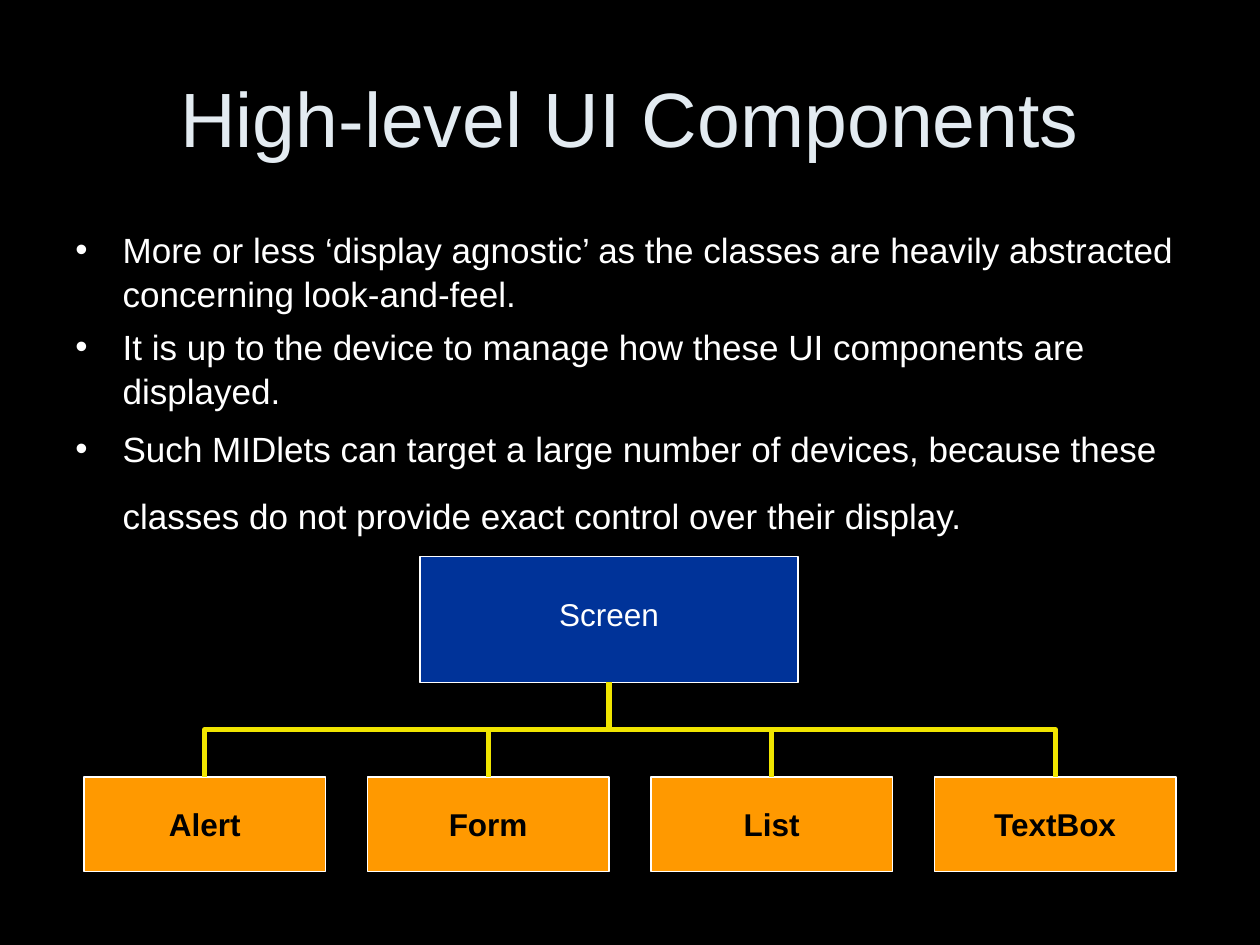
from lxml import etree
from pptx import Presentation
from pptx.dml.color import RGBColor
from pptx.enum.shapes import MSO_CONNECTOR, MSO_SHAPE
from pptx.enum.text import MSO_ANCHOR, PP_ALIGN
from pptx.oxml.ns import qn
from pptx.util import Pt

COLOURS = {
    "background": "000000",
    "title": "E3EBF1",
    "light": "FFFFFF",
    "dark": "000000",
    "parent": "003399",
    "child": "FF9900",
    "branch": "F0E500",
}
FONT = "Arial"
BOTTOM, TOP = 2, 0  # connection sites of a rectangle

# Text, space before
BULLETS = [
    ("More or less ‘display agnostic’ as the classes are heavily abstracted "
     "concerning look-and-feel.", 0),
    ("It is up to the device to manage how these UI components are displayed.", 5),
    ("Such MIDlets can target a large number of devices, because these classes "
     "do not provide exact control over their display.", 8),
]
COMPONENTS = ["Alert", "Form", "List", "TextBox"]


def colour(name):
    return RGBColor.from_string(COLOURS[name])


def add_span(para, text, size, ink, bold=False):
    span = para.add_run()
    span.text = text
    span.font.name = FONT
    span.font.size = Pt(size)
    span.font.bold = bold
    span.font.color.rgb = colour(ink)


def add_text_box(page, left, top, width, height):
    box = page.shapes.add_textbox(Pt(left), Pt(top), Pt(width), Pt(height))
    box.text_frame.word_wrap = True
    return box.text_frame


def add_title(page, left, top, width, height):
    frame = add_text_box(page, left, top, width, height)
    frame.vertical_anchor = MSO_ANCHOR.MIDDLE
    para = frame.paragraphs[0]
    para.alignment = PP_ALIGN.CENTER
    add_span(para, "High-level UI Components", 44, "title")


def add_bullet(para, indent):
    props = para._p.get_or_add_pPr()
    props.set("marL", str(Pt(indent)))
    props.set("indent", str(-Pt(indent)))
    etree.SubElement(props, qn("a:buFont")).set("typeface", FONT)
    etree.SubElement(props, qn("a:buChar")).set("char", "•")


def add_bullets(page, left, top, width, height):
    frame = add_text_box(page, left, top, width, height)
    for number, (text, space) in enumerate(BULLETS):
        para = frame.add_paragraph() if number else frame.paragraphs[0]
        add_bullet(para, 27)
        para.space_before = Pt(space)
        para.line_spacing = 1.05
        add_span(para, text, 20, "light")
    # A larger closing space opens up the last line
    add_span(para, " ", 32, "light")


def add_node(page, left, top, width, height, text, fill, ink, bold):
    node = page.shapes.add_shape(
        MSO_SHAPE.RECTANGLE, Pt(left), Pt(top), Pt(width), Pt(height))
    node.shadow.inherit = False
    node.fill.solid()
    node.fill.fore_color.rgb = colour(fill)
    node.line.color.rgb = colour("light")
    node.line.width = Pt(0.75)
    node.text_frame.vertical_anchor = MSO_ANCHOR.MIDDLE
    para = node.text_frame.paragraphs[0]
    para.alignment = PP_ALIGN.CENTER
    add_span(para, text, 18, ink, bold)
    return node


def add_branch(page, parent, child):
    """Elbow that leaves the parent downwards and enters the child from above."""
    start_x, start_y = parent.left + parent.width // 2, parent.top + parent.height
    end_x, end_y = child.left + child.width // 2, child.top
    branch = page.shapes.add_connector(
        MSO_CONNECTOR.ELBOW, start_x, start_y, end_x, end_y)
    branch.begin_connect(parent, BOTTOM)
    branch.end_connect(child, TOP)

    # Turn the elbow a quarter so that its outer legs are vertical
    drop, span = end_y - start_y, abs(end_x - start_x)
    branch.left = (start_x + end_x - drop) // 2
    branch.top = (start_y + end_y - span) // 2
    branch.width, branch.height = drop, span
    frame = branch._element.spPr.find(qn("a:xfrm"))
    frame.attrib.pop("flipH", None)
    to_right = end_x > start_x
    frame.set("rot", str((270 if to_right else 90) * 60000))
    if to_right:
        frame.set("flipH", "1")

    branch.line.color.rgb = colour("branch")
    branch.line.width = Pt(3)
    etree.SubElement(branch._element.spPr, qn("a:effectLst"))


def add_hierarchy(page, left, top, width, height):
    # Parent class
    parent = add_node(page, left + 192, top, 216, 72,
                      "Screen", "parent", "light", False)
    parent.text_frame.margin_bottom = Pt(10)

    # Child classes, evenly spread over the width
    child_width, child_height = 138, 54
    step = (width - child_width) / (len(COMPONENTS) - 1)
    children = [
        add_node(page, left + number * step, top + height - child_height,
                 child_width, child_height, name, "child", "dark", True)
        for number, name in enumerate(COMPONENTS)
    ]
    for child in children:
        add_branch(page, parent, child)


def main():
    deck = Presentation()
    deck.slide_width, deck.slide_height = Pt(720), Pt(540)
    page = deck.slides.add_slide(deck.slide_layouts[6])
    page.background.fill.solid()
    page.background.fill.fore_color.rgb = colour("background")

    add_title(page, 36, 21.6, 648, 90)
    add_bullets(page, 36, 126, 648, 186)
    add_hierarchy(page, 48, 318, 624, 180)
    deck.save("out.pptx")


if __name__ == "__main__":
    main()
